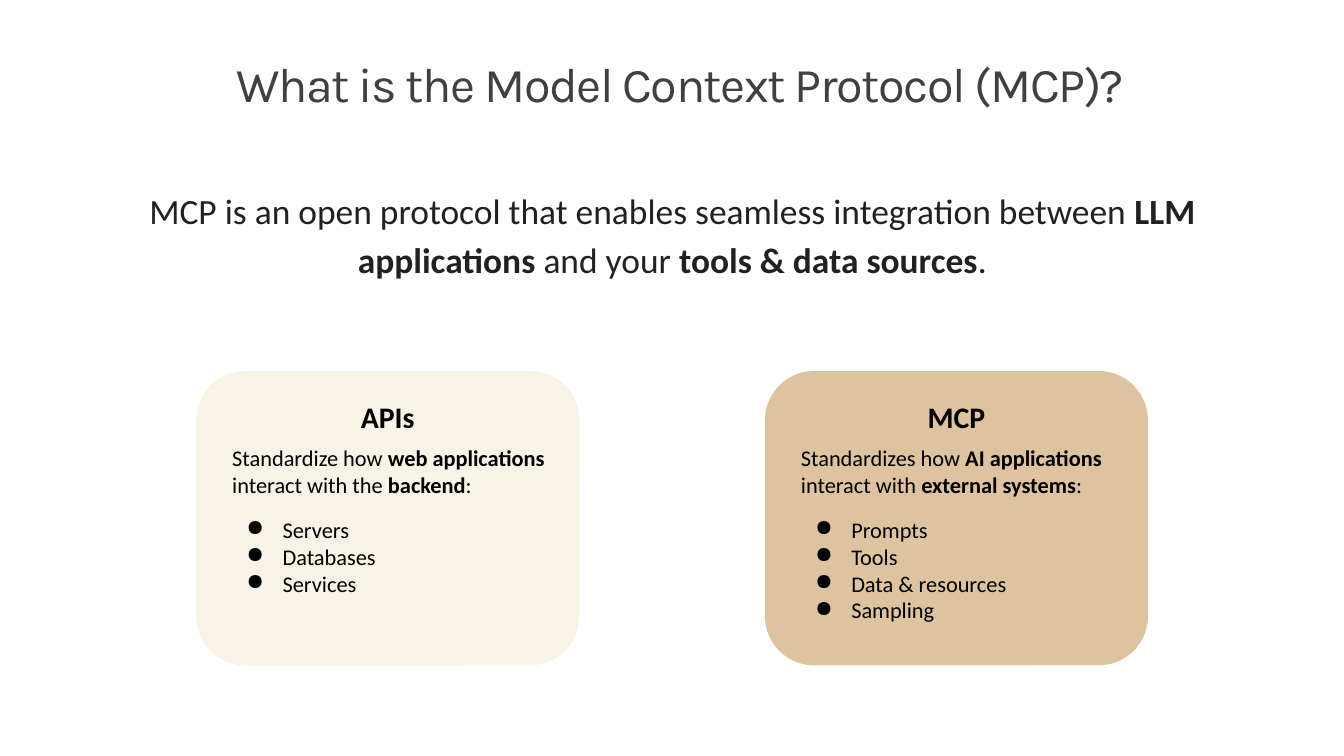
from lxml import etree
from pptx import Presentation
from pptx.dml.color import RGBColor
from pptx.enum.shapes import MSO_SHAPE
from pptx.enum.text import MSO_ANCHOR, PP_ALIGN
from pptx.oxml.ns import qn
from pptx.util import Pt

ROUNDED = MSO_SHAPE.ROUNDED_RECTANGLE
TOP, MIDDLE, BOTTOM = MSO_ANCHOR.TOP, MSO_ANCHOR.MIDDLE, MSO_ANCHOR.BOTTOM
LEFT, CENTER = PP_ALIGN.LEFT, PP_ALIGN.CENTER
BODY_FONT, TITLE_FONT = "Calibri", "Karla"
BLACK = "000000"

CARDS = [
    ("F8F3E7", "APIs",
     ["Standardize how ", "web applications", " interact with the ", "backend", ":"],
     ["Servers", "Databases", "Services"]),
    ("DEC3A0", "MCP",
     ["Standardizes how", " AI applications", " interact with ", "external systems", ":"],
     ["Prompts", "Tools", "Data & resources", "Sampling"]),
]


def color(value):
    """Turn a hex string into a colour."""
    return RGBColor.from_string(value)


def prepare_frame(shape, anchor, inset):
    """Set wrapping, anchor and equal insets, and return the text frame."""
    frame = shape.text_frame
    frame.word_wrap = True
    frame.vertical_anchor = anchor
    frame.margin_left = frame.margin_right = Pt(inset)
    frame.margin_top = frame.margin_bottom = Pt(inset)
    return frame


def write_spans(para, texts, size, value, font=BODY_FONT, align=LEFT):
    """Write spans of text in which every second one is bold."""
    para.alignment = align
    for index, text in enumerate(texts):
        span = para.add_run()
        span.text = text
        span.font.name = font
        span.font.size = Pt(size)
        span.font.bold = index % 2 == 1
        span.font.color.rgb = color(value)


def indent(para, margin, hanging=0):
    """Set the left margin and the hanging indent of a paragraph."""
    properties = para._p.get_or_add_pPr()
    properties.set("marL", str(Pt(margin)))
    properties.set("indent", str(-Pt(hanging)))
    return properties


def add_text(page, left, top, width, height, anchor):
    """Add a text box without insets and return its first paragraph."""
    box = page.shapes.add_textbox(Pt(left), Pt(top), Pt(width), Pt(height))
    return prepare_frame(box, anchor, 0).paragraphs[0]


def add_card(page, left, fill, heading, sentence, items):
    """Add a rounded card with a heading, a sentence and a bullet list."""
    card = page.shapes.add_shape(ROUNDED, Pt(left), Pt(265), Pt(273.6), Pt(210.2))
    card.shadow.inherit = False
    card.adjustments[0] = 0.167
    card.fill.solid()
    card.fill.fore_color.rgb = color(fill)
    card.line.fill.background()
    frame = prepare_frame(card, TOP, 9.6)
    write_spans(frame.paragraphs[0], ["", heading], 21.3, BLACK, align=CENTER)

    para = frame.add_paragraph()
    para.space_before = Pt(6.7)
    indent(para, 5.8)
    write_spans(para, sentence, 16, BLACK)

    for index, item in enumerate(items):
        para = frame.add_paragraph()
        para.space_before = Pt(0 if index else 13)
        write_spans(para, [item], 16, BLACK)
        properties = indent(para, 41.8, 25.9)
        etree.SubElement(properties, qn("a:buChar")).set("char", "●")


def main():
    """Build the slide and save it."""
    deck = Presentation()
    deck.slide_width, deck.slide_height = Pt(960), Pt(540)
    page = deck.slides.add_slide(deck.slide_layouts[6])

    title = add_text(page, 105, 36, 762, 52, MIDDLE)
    title.line_spacing = 0.9
    write_spans(title, ["What is the Model Context Protocol (MCP)?"], 34.7, "404040", TITLE_FONT, CENTER)
    title.runs[0].font._element.set("spc", "-100")

    summary = add_text(page, 58.3, 129.6, 843.8, 70.6, BOTTOM)
    summary.line_spacing = 1.15
    write_spans(summary, [
        "MCP is an open protocol that enables seamless integration between ",
        "LLM applications", " and your ", "tools & data sources", ".",
    ], 25.3, "212121", align=CENTER)

    for index, card in enumerate(CARDS):
        add_card(page, 140.2 + index * 406.2, *card)

    deck.save("out.pptx")


if __name__ == "__main__":
    main()
